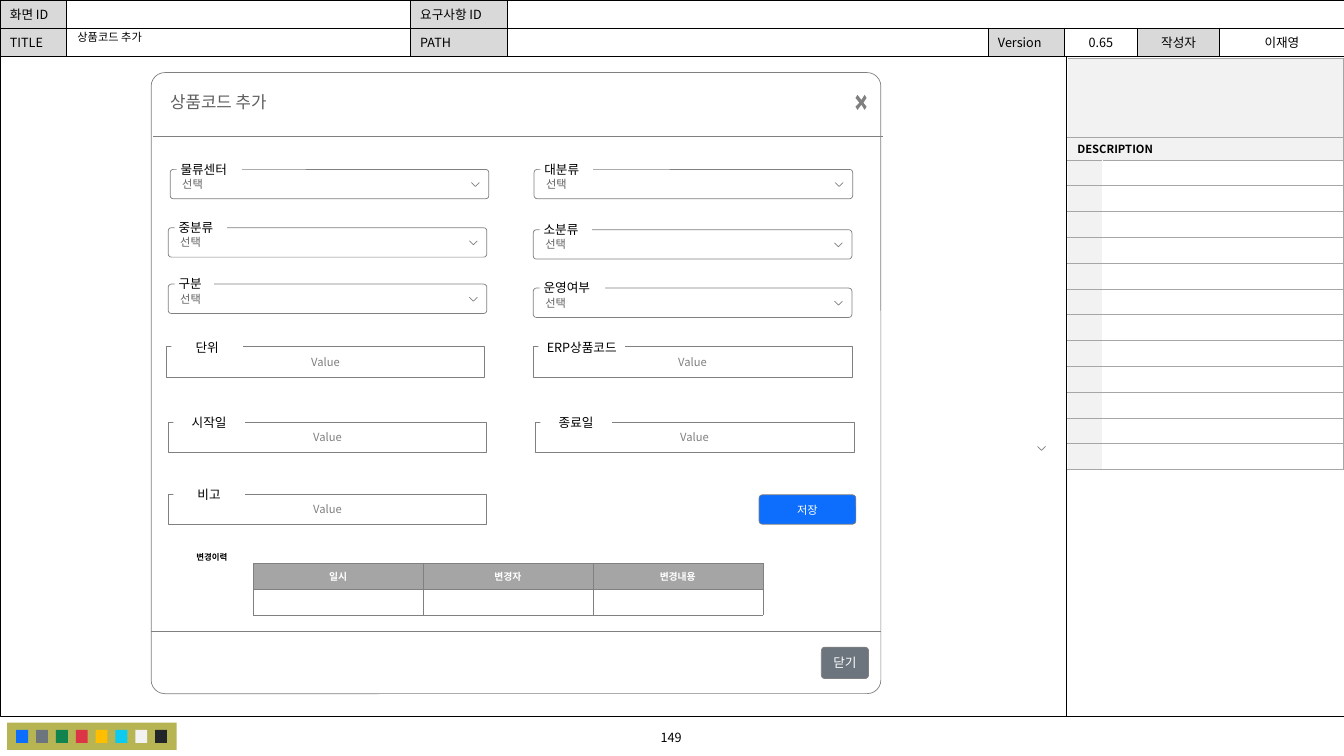
from dataclasses import dataclass

from lxml import etree
from pptx import Presentation
from pptx.dml.color import RGBColor
from pptx.enum.shapes import MSO_CONNECTOR, MSO_SHAPE
from pptx.enum.text import MSO_ANCHOR, MSO_AUTO_SIZE, PP_ALIGN
from pptx.oxml.ns import qn
from pptx.util import Cm, Pt

RECT, ROUND = MSO_SHAPE.RECTANGLE, MSO_SHAPE.ROUNDED_RECTANGLE
LEFT, CENTER = PP_ALIGN.LEFT, PP_ALIGN.CENTER
TOP, MIDDLE = MSO_ANCHOR.TOP, MSO_ANCHOR.MIDDLE
FIT, FIXED = MSO_AUTO_SIZE.SHAPE_TO_FIT_TEXT, MSO_AUTO_SIZE.NONE


@dataclass(frozen=True)
class Theme:
    black: str = "000000"
    white: str = "FFFFFF"
    head: str = "D9D9D9"
    pale: str = "F2F2F2"
    rule: str = "A6A6A6"
    history: str = "A5A5A5"
    line: str = "808080"
    text: str = "5F5F5F"
    blue: str = "0D6EFD"
    gray: str = "6C757D"
    olive: str = "B7B553"
    swatches: tuple = ("0D6EFD", "6C757D", "10834E", "DC3545",
                       "FFBE00", "0DCAF0", "F2F2F2", "212529")
    sans: str = "Noto Sans CJK KR"
    ui: str = "Lato"
    modal: int = 12
    label: int = 9
    body: int = 8
    small: int = 7
    tiny: int = 6


T = Theme()
INSETS = (0.25, 0.13, 0.25, 0.13)


def rgb(color):
    return RGBColor.from_string(color)


def style(p, size, color, font=T.sans, bold=False, align=LEFT):
    p.alignment = align
    for r in p.runs:
        r.font.size, r.font.bold, r.font.name = Pt(size), bold, font
        r.font.color.rgb = rgb(color)
        etree.SubElement(r.font._element, qn("a:ea"), typeface=T.sans)


def write(sp, text, size, color, insets=INSETS, anchor=TOP, wrap=True, grow=False, **kw):
    tf = sp.text_frame
    tf.text = text
    tf.word_wrap, tf.vertical_anchor = wrap, anchor
    tf.auto_size = FIT if grow else FIXED
    tf.margin_left, tf.margin_top, tf.margin_right, tf.margin_bottom = map(Cm, insets)
    style(tf.paragraphs[0], size, color, **kw)


def paint(sp, fill, line, weight=0.5):
    sp.shadow.inherit = False
    if fill:
        sp.fill.solid()
        sp.fill.fore_color.rgb = rgb(fill)
    else:
        sp.fill.background()
    if line:
        sp.line.color.rgb = rgb(line)
        sp.line.width = Pt(weight)
    else:
        sp.line.fill.background()


def add_box(s, kind, x, y, w, h, fill=None, line=None, weight=0.5, radius=None):
    sp = s.shapes.add_shape(kind, Cm(x), Cm(y), Cm(w), Cm(h))
    paint(sp, fill, line, weight)
    if radius is not None:
        sp.adjustments[0] = radius
    return sp


def add_line(s, x1, y1, x2, y2, color):
    c = s.shapes.add_connector(MSO_CONNECTOR.STRAIGHT, Cm(x1), Cm(y1), Cm(x2), Cm(y2))
    c.line.color.rgb = rgb(color)
    c.line.width = Pt(0.5)
    etree.SubElement(c._element.spPr, qn("a:effectLst"))


def add_outline(s, x, y, points, close=False, **look):
    pts = [(Cm(x + dx), Cm(y + dy)) for dx, dy in points]
    fb = s.shapes.build_freeform(*pts[0])
    fb.add_line_segments(pts[1:], close=close)
    paint(fb.convert_to_shape(), **look)


def add_chevron(s, x, y):
    add_outline(s, x, y, [(0.2, 0), (0.1, 0.1), (0, 0)], fill=None, line=T.line)


def add_grid(s, x, y, cols, rows):
    tbl = s.shapes.add_table(len(rows), len(cols), Cm(x), Cm(y),
                             Cm(sum(cols)), Cm(sum(rows))).table
    tbl.first_row = tbl.horz_banding = False
    for col, w in zip(tbl.columns, cols):
        col.width = Cm(w)
    for row, h in zip(tbl.rows, rows):
        row.height = Cm(h)
    return tbl


def set_cell(cell, text, fill, size, border, weight, color=T.black, sides="LRTB",
             insets=(0.25, 0.05, 0.25, 0.05), **kw):
    cell.text_frame.text = text
    p = cell.text_frame.paragraphs[0]
    style(p, size, color, **kw)
    if not text:
        etree.SubElement(p._p, qn("a:endParaRPr"), sz=str(size * 100))
    cell.vertical_anchor = MIDDLE
    cell.margin_left, cell.margin_top, cell.margin_right, cell.margin_bottom = map(Cm, insets)
    tcPr = cell._tc.get_or_add_tcPr()
    for side in sides:
        ln = etree.SubElement(tcPr, qn("a:ln" + side), w=str(Pt(weight)))
        etree.SubElement(etree.SubElement(ln, qn("a:solidFill")), qn("a:srgbClr"), val=border)
    cell.fill.solid()
    cell.fill.fore_color.rgb = rgb(fill)


def header(s, x, y):
    rows = [["화면 ID", "", "요구사항 ID", "", "", "", "", ""],
            ["TITLE", "", "PATH", "", "Version", "0.65", "작성자", "이재영"]]
    tbl = add_grid(s, x, y, [1.68, 8.66, 2.44, 12.12, 1.93, 1.83, 2.08, 3.13], [0.71, 0.71])
    for i, row in enumerate(rows):
        for j, text in enumerate(row):
            shaded = text and j % 2 == 0
            set_cell(tbl.cell(i, j), text, T.head if shaded else T.white, T.label,
                     T.black, 0.5, align=CENTER if j > 4 else LEFT)
    tbl.cell(0, 3).merge(tbl.cell(0, 7))
    title = s.shapes.title
    title.left, title.top, title.width, title.height = Cm(x + 1.7), Cm(y + 0.71), Cm(8.59), Cm(0.51)
    write(title, "상품코드 추가", T.body, T.black, anchor=MIDDLE)
    title.text_frame.paragraphs[0].line_spacing = 0.9
    title.element.getparent().append(title.element)


def frame(s, x, y, w, h):
    add_box(s, RECT, x, y, w, h, line=T.black, weight=0.25)
    add_line(s, x + 26.87, y, x + 26.87, y + h, T.black)


def footer(s, x, y):
    add_box(s, RECT, x + 0.18, y, 4.27, 0.69, T.olive)
    for i, color in enumerate(T.swatches):
        add_box(s, RECT, x + 0.41 + 0.5 * i, y + 0.18, 0.3, 0.33, color)
    number = s.shapes.add_textbox(Cm(x + 13.64), Cm(y + 0.05), Cm(6.55), Cm(0.64))
    write(number, "149", T.label, T.black, align=CENTER)


def description(s, x, y):
    tbl = add_grid(s, x, y, [0.89, 6.07], [1.98, 0.58] + [0.65] * 12)
    for i in range(len(tbl.rows)):
        for j in range(2):
            text = "DESCRIPTION" if (i, j) == (1, 0) else ""
            fill = T.pale if i < 2 or j == 0 else T.white
            set_cell(tbl.cell(i, j), text, fill, T.body, T.rule, 0.5, sides="RTB",
                     insets=(0.25, 0, 0.25, 0), bold=True)
    for i in range(2):
        tbl.cell(i, 0).merge(tbl.cell(i, 1))


def select_field(s, x, y, label):
    sp = add_box(s, ROUND, x, y, 8.03, 0.74, T.white, T.line, radius=0.108)
    write(sp, "선택", T.body, T.text, (0.28, 0.18, 0.76, 0.18), MIDDLE, font=T.ui)
    add_chevron(s, x + 7.59, y + 0.33)
    tag = add_box(s, RECT, x + 0.16, y - 0.2, 0.33 * len(label) + 0.33, 0.38, T.white)
    write(tag, label, T.label, T.black, (0.1, 0, 0.25, 0), wrap=False, grow=True)


def input_field(s, x, y, label, label_w=1.8):
    sp = add_box(s, RECT, x, y, 8.03, 0.76, T.white, T.line)
    write(sp, "Value", T.body, T.line, anchor=MIDDLE, align=CENTER)
    tag = add_box(s, RECT, x + 0.13, y - 0.18, label_w, 0.38, T.white)
    write(tag, label, T.label, T.black, (0, 0, 0, 0), grow=True, align=CENTER)


def button(s, x, y, w, h, text, fill, size):
    sp = add_box(s, ROUND, x, y, w, h, fill, T.line, radius=0.11)
    write(sp, text, size, T.white, (0.25, 0.1, 0.25, 0.1), MIDDLE, wrap=False,
          font=T.ui, align=CENTER)


def history(s, x, y):
    caption = s.shapes.add_textbox(Cm(x), Cm(y), Cm(1.47), Cm(0.51))
    write(caption, "변경이력", T.tiny, T.black, grow=True, bold=True)
    tbl = add_grid(s, x + 1.68, y + 0.41, [4.28] * 3, [0.65] * 2)
    for j, text in enumerate(["일시", "변경자", "변경내용"]):
        for i, (words, fill) in enumerate([(text, T.history), ("", T.white)]):
            set_cell(tbl.cell(i, j), words, fill, T.small, T.line, 0.25, T.white,
                     bold=True, align=CENTER)


def modal(s, x, y, w, h):
    sp = add_box(s, ROUND, x, y, w, h, T.white, T.line, radius=0.022)
    write(sp, "상품코드 추가", T.modal, T.text, (0.38, 0.38, 0.25, 0.13), font=T.ui)
    add_line(s, x + 0.05, y + 1.6, x + w + 0.05, y + 1.6, T.line)
    add_line(s, x, y + 14.07, x + w, y + 14.07, T.line)
    cross = [(0.05, 0), (0, 0.08), (0.1, 0.2), (0, 0.3), (0.05, 0.38), (0.15, 0.25),
             (0.23, 0.38), (0.28, 0.3), (0.2, 0.2), (0.28, 0.08), (0.23, 0), (0.15, 0.13)]
    add_outline(s, x + 17.75, y + 0.56, cross, close=True, fill=T.line, line=None)
    for dx, dy, label in [(0.48, 2.44, "물류센터"), (9.65, 2.44, "대분류"),
                          (0.43, 3.91, "중분류"), (9.63, 3.96, "소분류"),
                          (0.43, 5.33, "구분"), (9.63, 5.43, "운영여부")]:
        select_field(s, x + dx, y + dy, label)
    for dx, dy, label in [(0.38, 6.91, "단위"), (0.43, 8.81, "시작일"),
                          (9.68, 8.81, "종료일"), (0.43, 10.62, "비고")]:
        input_field(s, x + dx, y + dy, label)
    input_field(s, x + 9.63, y + 6.91, "ERP상품코드", 2.18)
    button(s, x + 15.32, y + 10.64, 2.44, 0.74, "저장", T.blue, T.body)
    history(s, x + 0.89, y + 11.96)
    button(s, x + 16.89, y + 14.48, 1.19, 0.79, "닫기", T.gray, T.label)


def main():
    prs = Presentation()
    prs.slide_width, prs.slide_height = Cm(33.87), Cm(19.05)
    s = prs.slides.add_slide(prs.slide_layouts[5])
    header(s, 0, 0)
    frame(s, 0, 1.42, 33.87, 16.64)
    footer(s, 0, 18.21)
    modal(s, 3.81, 1.83, 18.39, 15.65)
    description(s, 26.9, 1.47)
    add_chevron(s, 26.15, 11.25)
    prs.save("out.pptx")


if __name__ == "__main__":
    main()
